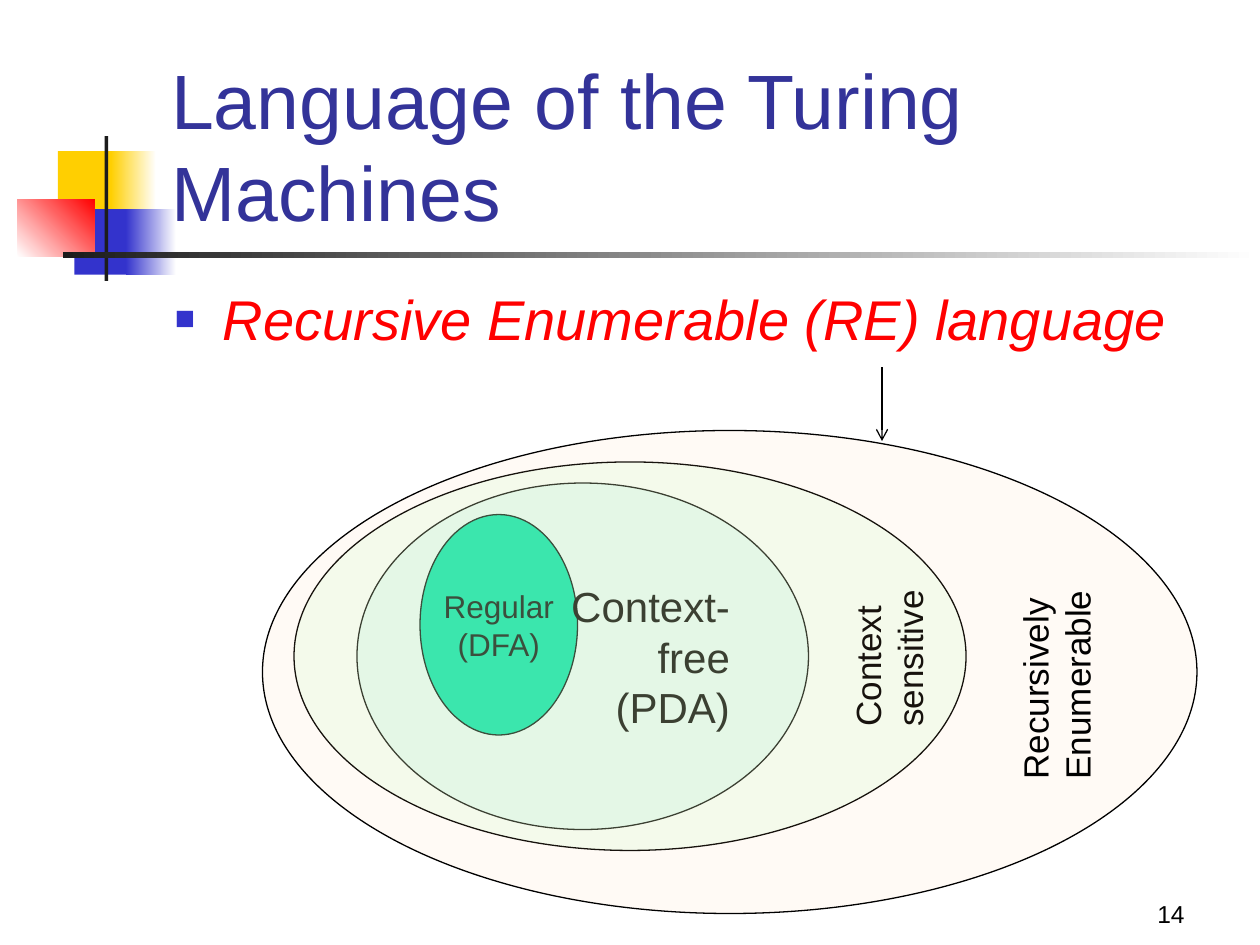
from lxml.etree import SubElement
from pptx import Presentation
from pptx.dml.color import RGBColor
from pptx.enum.shapes import MSO_CONNECTOR as Connector, MSO_SHAPE as Shape
from pptx.enum.text import MSO_ANCHOR as Anchor, MSO_AUTO_SIZE as AutoSize, PP_ALIGN as Align
from pptx.oxml.ns import qn
from pptx.util import Inches, Pt

THEME = dict(
    font="Arial", ink="000000", title="333399", accent="FF0000", bullet="3333CC",
    yellow="FFCF01", blue="3333CC", red="FF0000", dark="1C1C1C", white="FFFFFF",
    green="00E4A8", mint="CCFFCC", peach="FFCC99",
    title_size=44, body_size=32, large=24, label=20, small=18, number=14, line=0.75,
)

# Content: a line break inside a paragraph is "\n"
TITLE = "Language of the Turing Machines"
POINT = "Recursive Enumerable (RE) language"
PAGE = "14"

# Decoration: box in inches, colours from start to end, gradient angle
DECORATION = [
    ((0.46, 1.2, 0.48, 0.52), ["yellow"], 0),
    ((0.88, 1.2, 0.36, 0.52), ["yellow", "white"], 0),
    ((0.59, 1.66, 0.46, 0.52), ["blue"], 0),
    ((1, 1.66, 0.4, 0.52), ["blue", "white"], 0),
    ((0.14, 1.58, 0.61, 0.46), ["white", "red"], 45),
    ((0.83, 1.08, 0.03, 1.15), ["dark"], 0),
    ((0.5, 2, 9.5, 0.05), ["dark", "white"], 0),
]

# Language classes, innermost first: box in grid cells, fill, opacity %, inner text
# (paragraphs, size, alignment), upright label (paragraphs, box in inches)
CLASSES = [
    ((40, 49, 15, 21), "green", 100, (["Regular", "(DFA)"], "small", Align.CENTER), None),
    ((34, 46, 43, 33), "green", 9, (["Context-\nfree", "(PDA)"], "large", Align.RIGHT), None),
    ((28, 44, 64, 37), "mint", 20, None, (["Context", "sensitive"], (6.41, 4.84, 1.28, 0.77))),
    ((25, 41, 89, 46), "peach", 9, None, (["Recursively\nEnumerable"], (7.53, 5.05, 1.7, 0.77))),
]
ARROW = (84, 35, 84, 42)
CELLS_PER_INCH = 12

prs = Presentation()
prs.slide_width, prs.slide_height = Inches(10), Inches(7.5)
slide = prs.slides.add_slide(prs.slide_layouts[6])


def color(name):
    return RGBColor.from_string(THEME[name])


def inches(box):
    return [Inches(value) for value in box]


def cells(box):
    return [Inches(value / CELLS_PER_INCH) for value in box]


def write(frame, paragraphs, size, ink="ink", align=Align.LEFT, italic=None):
    for index, text in enumerate(paragraphs):
        para = frame.paragraphs[0] if index == 0 else frame.add_paragraph()
        para.alignment = align
        for row, line in enumerate(text.split("\n")):
            if row:
                para.add_line_break()
            run = para.add_run()
            run.text = line
            run.font.name, run.font.size = THEME["font"], Pt(THEME[size])
            run.font.color.rgb, run.font.italic = color(ink), italic


def text_box(box, paragraphs, size, anchor=Anchor.TOP, wrap=True, **style):
    holder = slide.shapes.add_textbox(*inches(box))
    frame = holder.text_frame
    frame.word_wrap, frame.vertical_anchor = wrap, anchor
    write(frame, paragraphs, size, **style)
    return holder


def add_shape(kind, box):
    shape = slide.shapes.add_shape(kind, *box)
    shape.shadow.inherit = False
    return shape


# Corner squares and title rule
for box, colors, angle in DECORATION:
    block = add_shape(Shape.RECTANGLE, inches(box))
    block.line.fill.background()
    if len(colors) == 1:
        block.fill.solid()
        block.fill.fore_color.rgb = color(colors[0])
    else:
        block.fill.gradient()
        block.fill.gradient_angle = angle
        for stop, name, position in zip(block.fill.gradient_stops, colors, (0, 1)):
            stop.color.rgb, stop.position = color(name), position

# Page number, title and bullet point
text_box((7.42, 6.92, 2.08, 0.5), [PAGE], "number", Anchor.BOTTOM, align=Align.RIGHT)
text_box((1.26, 0.68, 8.52, 1.25), [TITLE], "title_size", Anchor.BOTTOM, ink="title")
point = text_box((1.29, 2.21, 8.5, 4.5), [POINT], "body_size", ink="accent", italic=True)
point_props = point.text_frame.paragraphs[0]._p.get_or_add_pPr()
point_props.set("marL", str(Inches(0.38)))
point_props.set("indent", str(-Inches(0.38)))
SubElement(SubElement(point_props, qn("a:spcBef")), qn("a:spcPct"), val="20000")
SubElement(SubElement(point_props, qn("a:buClr")), qn("a:srgbClr"), val=THEME["bullet"])
SubElement(point_props, qn("a:buSzPct"), val="60000")
SubElement(point_props, qn("a:buFont"), typeface=THEME["font"])
SubElement(point_props, qn("a:buChar"), char="■")

# Nested language classes
for box, fill, opacity, inner, upright in CLASSES:
    ellipse = add_shape(Shape.OVAL, cells(box))
    ellipse.fill.solid()
    ellipse.fill.fore_color.rgb = color(fill)
    if opacity < 100:
        tint = ellipse.fill._xPr.find(qn("a:solidFill"))[0]
        SubElement(tint, qn("a:alpha"), val=str(opacity * 1000))
    ellipse.line.color.rgb, ellipse.line.width = color("ink"), Pt(THEME["line"])
    if inner:
        paragraphs, size, align = inner
        ellipse.text_frame.word_wrap = False
        ellipse.text_frame.vertical_anchor = Anchor.MIDDLE
        write(ellipse.text_frame, paragraphs, size, align=align)
    if upright:
        paragraphs, label_box = upright
        label = text_box(label_box, paragraphs, "label", wrap=False)
        label.text_frame.auto_size = AutoSize.SHAPE_TO_FIT_TEXT
        label.rotation = 270

# Arrow from the bullet point to the outer class
arrow = slide.shapes.add_connector(Connector.STRAIGHT, *cells(ARROW))
arrow.line.color.rgb, arrow.line.width = color("ink"), Pt(THEME["line"])
SubElement(arrow.line._get_or_add_ln(), qn("a:tailEnd"), type="arrow")
SubElement(arrow._element.spPr, qn("a:effectLst"))

prs.save("out.pptx")
